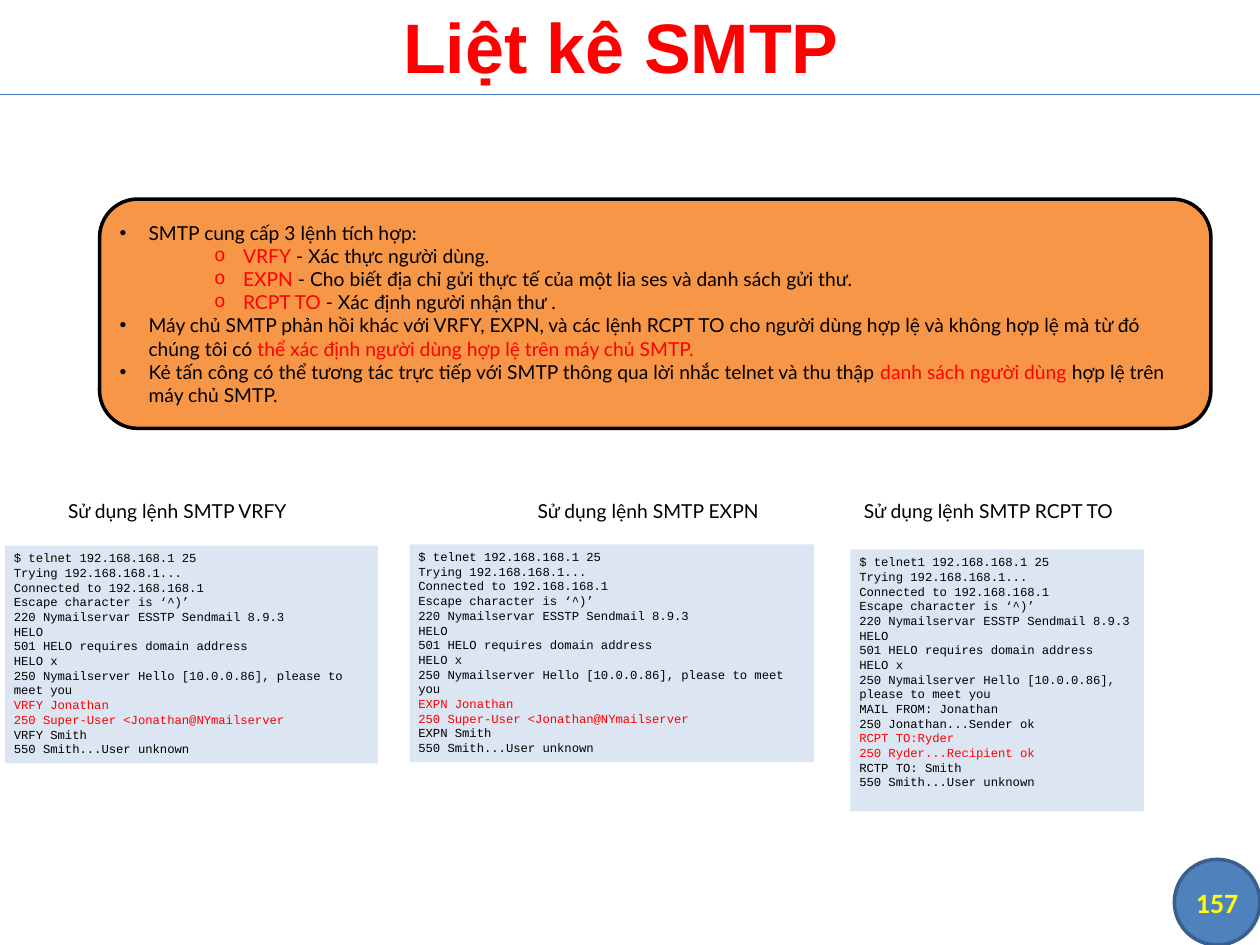
from lxml.etree import SubElement
from pptx import Presentation
from pptx.dml.color import RGBColor
from pptx.enum.shapes import MSO_CONNECTOR as Connector, MSO_SHAPE as Shape
from pptx.enum.text import MSO_ANCHOR as Anchor, PP_ALIGN as Align
from pptx.oxml.ns import qn
from pptx.util import Inches, Pt

BLACK, RED, YELLOW = "000000", "FF0000", "FFFF00"
ORANGE, BLUE, PALE_BLUE = "F79646", "4F81BD", "DCE6F2"
BODY = {"name": "Lato", "size": Pt(11)}
CODE = {"name": "Courier New", "size": Pt(7)}
NUMBER = {"name": "Calibri", "size": Pt(16), "bold": True}
TITLE = {"name": "Arial", "size": Pt(40), "bold": True}
FRAME = {"word_wrap": True, "margin_left": Inches(0.07), "margin_right": Inches(0.07),
         "margin_top": Inches(0.04), "margin_bottom": Inches(0.04)}

# Each point: level, then runs of (text, colour)
POINTS = [
    (0, [("SMTP cung cấp 3 lệnh tích hợp:", BLACK)]),
    (2, [("VRFY", RED), (" - Xác thực người dùng.", BLACK)]),
    (2, [("EXPN", RED),
         (" - Cho biết địa chỉ gửi thực tế của một lia ses và danh sách gửi thư.", BLACK)]),
    (2, [("RCPT TO ", RED), ("- Xác định người nhận thư .", BLACK)]),
    (0, [("Máy chủ SMTP phản hồi khác với VRFY, EXPN, và các lệnh RCPT TO cho người dùng "
          "hợp lệ và không hợp lệ mà từ đó chúng tôi có ", BLACK),
         ("thể xác định người dùng hợp lệ trên máy chủ SMTP.", RED)]),
    (0, [("Kẻ tấn công có thể tương tác trực tiếp với SMTP thông qua lời nhắc telnet và "
          "thu thập ", BLACK),
         ("danh sách người dùng ", RED), ("hợp lệ trên máy chủ SMTP.", BLACK)]),
]
# Bullet character, bullet font and left indent by level
BULLETS = {0: ("•", "Arial", 0.23), 2: ("o", "Courier New", 0.98)}

GREETING = [
    "Trying 192.168.168.1...",
    "Connected to 192.168.168.1",
    "Escape character is ‘^)’",
    "220 Nymailservar ESSTP Sendmail 8.9.3",
    "HELO",
    "501 HELO requires domain address",
    "HELO x",
    "250 Nymailserver Hello [10.0.0.86], please to meet you",
]
UNKNOWN = "550 Smith...User unknown"
SUPER_USER = "250 Super-User <Jonathan@NYmailserver"

# Each session: label, label left, alignment, box, program, lines before, red lines, lines after
SESSIONS = [
    ("VRFY", 0.47, Align.LEFT, (0.04, 4.33, 2.96, 1.73), "telnet",
     [], ["VRFY Jonathan", SUPER_USER], ["VRFY Smith", UNKNOWN]),
    ("EXPN", 3.88, Align.CENTER, (3.25, 4.32, 3.21, 1.73), "telnet",
     [], ["EXPN Jonathan", SUPER_USER], ["EXPN Smith", UNKNOWN]),
    ("RCPT TO", 6.58, Align.CENTER, (6.75, 4.36, 2.33, 2.08), "telnet1",
     ["MAIL FROM: Jonathan", "250 Jonathan...Sender ok"],
     ["RCPT TO:Ryder", "250 Ryder...Recipient ok"], ["RCTP TO: Smith", UNKNOWN]),
]


def rgb(value):
    return RGBColor.from_string(value)


def apply(target, values):
    for name, value in values.items():
        setattr(target, name, value)


def box(left, top, width, height):
    return [Inches(length) for length in (left, top, width, height)]


def add_run(paragraph, text, font, color):
    run = paragraph.add_run()
    run.text = text
    apply(run.font, font)
    run.font.color.rgb = rgb(color)


def next_paragraph(frame, index, align=Align.LEFT):
    paragraph = frame.add_paragraph() if index else frame.paragraphs[0]
    paragraph.alignment = align
    return paragraph


def add_panel(slide, kind, position, fill, line=None, anchor=Anchor.TOP):
    """Add a filled shape and return its text frame."""
    shape = slide.shapes.add_shape(kind, *box(*position))
    shape.shadow.inherit = False
    shape.fill.solid()
    shape.fill.fore_color.rgb = rgb(fill)
    if line:
        shape.line.color.rgb = rgb(line)
        shape.line.width = Pt(2)
    else:
        shape.line.fill.background()
    apply(shape.text_frame, {**FRAME, "vertical_anchor": anchor})
    return shape.text_frame


def add_bullet(paragraph, level):
    character, font, indent = BULLETS[level]
    paragraph.level = level
    properties = paragraph._p.get_or_add_pPr()
    properties.set("marL", str(Inches(indent)))
    properties.set("indent", str(Inches(-0.23)))
    SubElement(properties, qn("a:buFont")).set("typeface", font)
    SubElement(properties, qn("a:buChar")).set("char", character)


def add_title(slide, text):
    title = slide.shapes.title
    apply(title, dict(zip(("left", "top", "width", "height"), box(0, -0.03, 10, 0.78))))
    title.text_frame.vertical_anchor = Anchor.MIDDLE
    add_run(next_paragraph(title.text_frame, 0, Align.CENTER), text, TITLE, RED)


def add_rule(slide):
    rule = slide.shapes.add_connector(Connector.STRAIGHT, *box(0, 0.75, 10, 0.75))
    rule.line.color.rgb = rgb("4B7EBC")
    rule.line.width = Pt(0.75)
    SubElement(rule._element.spPr, qn("a:effectLst"))


def add_points(slide):
    frame = add_panel(slide, Shape.ROUNDED_RECTANGLE, (0.79, 1.58, 8.82, 1.82),
                      ORANGE, BLACK, Anchor.MIDDLE)
    for index, (level, runs) in enumerate(POINTS):
        paragraph = next_paragraph(frame, index)
        add_bullet(paragraph, level)
        for text, color in runs:
            add_run(paragraph, text, BODY, color)


def add_session(slide, command, label_left, align, position, program, before, red, after):
    frame = add_panel(slide, Shape.RECTANGLE, position, PALE_BLUE)
    opening = [f"$ {program} 192.168.168.1 25", *GREETING, *before]
    lines = [(text, color)
             for group, color in ((opening, BLACK), (red, RED), (after, BLACK))
             for text in group]
    for index, (text, color) in enumerate(lines):
        add_run(next_paragraph(frame, index), text, CODE, color)

    label = slide.shapes.add_textbox(*box(label_left, 3.92, 2.53, 0.56)).text_frame
    apply(label, FRAME)
    add_run(next_paragraph(label, 0, align), f"Sử dụng lệnh SMTP {command}", BODY, BLACK)


def add_page_number(slide, number):
    frame = add_panel(slide, Shape.FLOWCHART_CONNECTOR, (9.32, 6.82, 0.68, 0.68),
                      BLUE, "3A5F8C", Anchor.MIDDLE)
    apply(frame, {"margin_left": 0, "margin_right": 0, "margin_top": 0, "margin_bottom": 0})
    add_run(next_paragraph(frame, 0, Align.CENTER), number, NUMBER, YELLOW)


def main():
    presentation = Presentation()
    presentation.slide_width, presentation.slide_height = Inches(10), Inches(7.5)
    slide = presentation.slides.add_slide(presentation.slide_layouts[5])
    add_page_number(slide, "157")
    add_rule(slide)
    add_title(slide, "Liệt kê SMTP ")
    add_points(slide)
    for session in SESSIONS:
        add_session(slide, *session)
    presentation.save("out.pptx")


if __name__ == "__main__":
    main()
